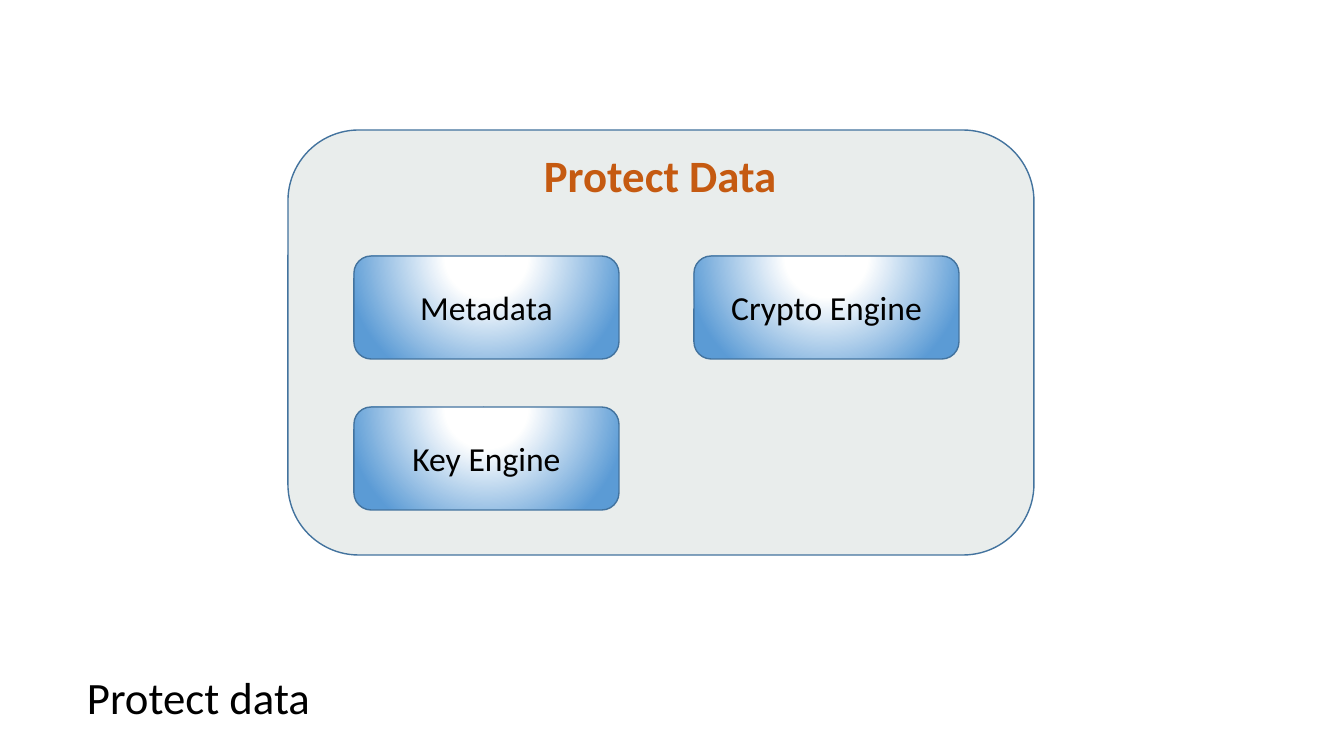
from pptx import Presentation
from pptx.dml.color import RGBColor
from pptx.enum.shapes import MSO_SHAPE
from pptx.enum.text import MSO_ANCHOR, MSO_AUTO_SIZE, PP_ALIGN
from pptx.oxml import parse_xml
from pptx.oxml.ns import nsdecls
from pptx.util import Pt

ROUND = MSO_SHAPE.ROUNDED_RECTANGLE
MIDDLE = MSO_ANCHOR.MIDDLE
GROW = MSO_AUTO_SIZE.SHAPE_TO_FIT_TEXT
LEFT, CENTER = PP_ALIGN.LEFT, PP_ALIGN.CENTER
SCALE = 914400 / 100.8
FONT = "Calibri"
COLORS = {"ink": "000000", "accent": "C55A11", "panel": "E9EDEC",
          "edge": "43739E", "glow": "FFFFFF", "blue": "5B9BD5"}
STOPS = [(0, "glow"), (29, "glow"), (100, "blue")]


def emu(*pixels):
    return [round(p * SCALE) for p in pixels]


def color(name):
    return RGBColor.from_string(COLORS[name])


def write(frame, text, size=24, tint="ink", bold=False, align=LEFT):
    para = frame.paragraphs[0]
    para.alignment = align
    run = para.add_run()
    run.text = text
    run.font.name = FONT
    run.font.size = Pt(size)
    run.font.bold = bold
    run.font.color.rgb = color(tint)


class Deck:
    """Hold the style and the current slide, and draw each kind of element."""

    def __init__(self, width, height):
        self.file = Presentation()
        self.file.slide_width, self.file.slide_height = emu(width, height)
        self.slide = self.file.slides.add_slide(self.file.slide_layouts[6])

    def label(self, text, *box, **style):
        frame = self.slide.shapes.add_textbox(*emu(*box)).text_frame
        frame.word_wrap = False
        frame.auto_size = GROW
        write(frame, text, size=32, **style)

    def round(self, *box):
        shape = self.slide.shapes.add_shape(ROUND, *emu(*box))
        shape.shadow.inherit = False
        shape.line.color.rgb = color("edge")
        shape.line.width = Pt(1)
        return shape

    def panel(self, *box):
        fill = self.round(*box).fill
        fill.solid()
        fill.fore_color.rgb = color("panel")

    def block(self, text, *box):
        shape = self.round(*box)
        stops = "".join(
            f'<a:gs pos="{at * 1000}"><a:srgbClr val="{COLORS[name]}"/></a:gs>'
            for at, name in STOPS)
        glow = parse_xml(
            f'<a:gradFill {nsdecls("a")} rotWithShape="1"><a:gsLst>{stops}</a:gsLst>'
            '<a:path path="circle"><a:fillToRect l="50000" t="-80000" '
            'r="50000" b="180000"/></a:path></a:gradFill>')
        shape.element.spPr.insert(2, glow)
        shape.text_frame.vertical_anchor = MIDDLE
        shape.text_frame.word_wrap = True
        write(shape.text_frame, text, align=CENTER)


deck = Deck(1344, 756)
deck.label("Protect data", 77, 665, 246, 65)
deck.panel(288, 130, 746, 425)
for text, col, row in [("Key Engine", 0, 1), ("Metadata", 0, 0),
                       ("Crypto Engine", 1, 0)]:
    deck.block(text, 354 + col * 340, 256 + row * 151, 265, 103)
deck.label("Protect Data", 534, 143, 255, 65, tint="accent", bold=True)
deck.file.save("out.pptx")
